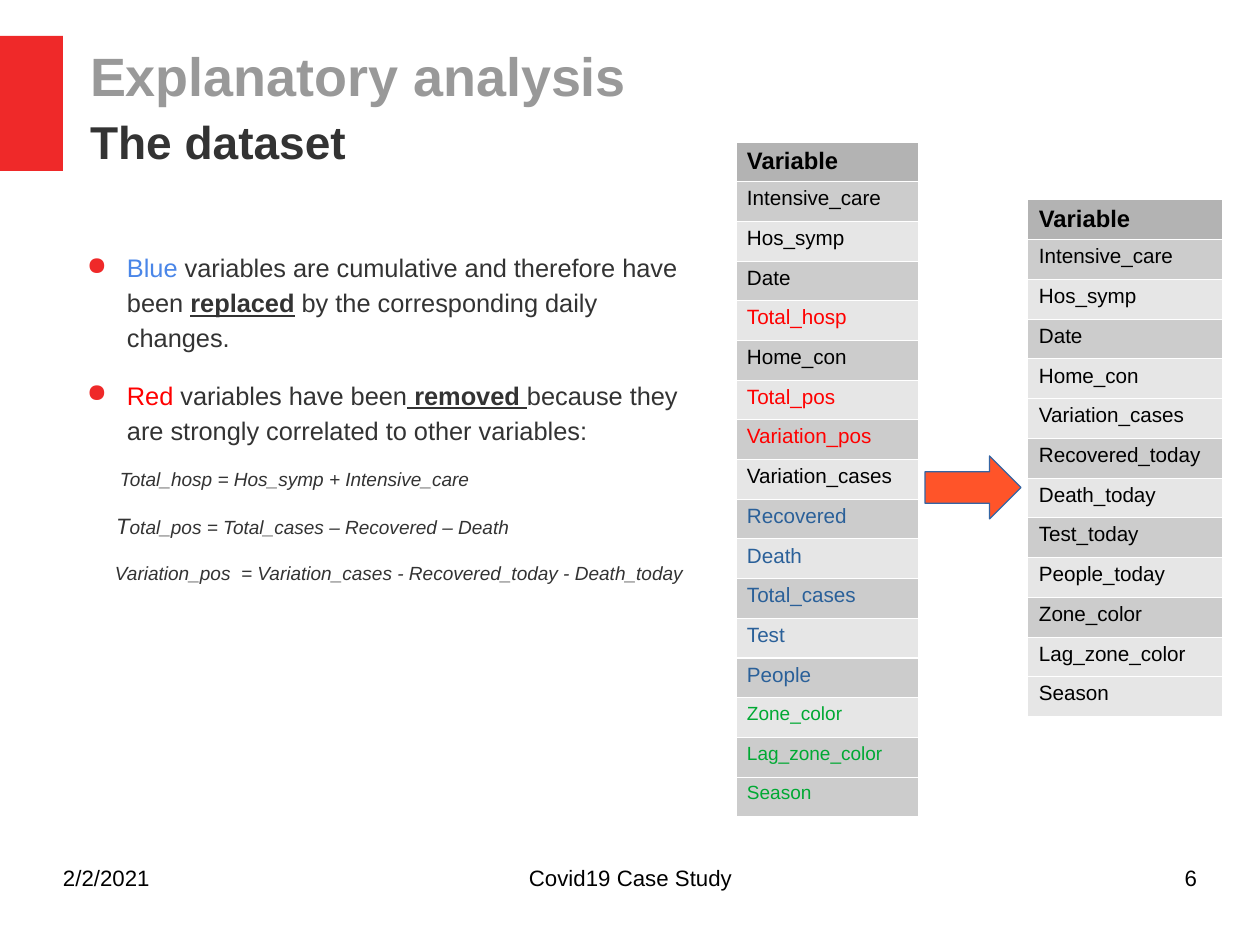
from pptx import Presentation
from pptx.dml.color import RGBColor
from pptx.enum.shapes import MSO_SHAPE
from pptx.enum.text import MSO_ANCHOR, MSO_AUTO_SIZE, PP_ALIGN
from pptx.oxml import parse_xml
from pptx.oxml.ns import nsdecls
from pptx.util import Pt

LEFT, MID, RIGHT = PP_ALIGN.LEFT, PP_ALIGN.CENTER, PP_ALIGN.RIGHT
PX = 8000  # EMU in one px
FONT = "Arial"
BLACK, GREY, RED, BLUE, GREEN = "000000", "333333", "FF0000", "2A6099", "00A933"
SHADES = {"h": "B3B3B3", "d": "CCCCCC", "l": "E6E6E6"}

# A run is (text, size, colour, styles): b bold, i italic, u underlined
TITLE = [("Explanatory analysis", 34, "999999", "b"),
         ("The dataset", 29, GREY, "b")]
POINTS = [
    [("Blue", 16, "4A86E8", ""),
     (" variables are cumulative and therefore have been ", 16, GREY, ""),
     ("replaced", 16, GREY, "bu"),
     (" by the corresponding daily changes.", 16, GREY, "")],
    [("Red", 16, RED, ""),
     (" variables have been", 16, GREY, ""),
     (" removed ", 16, GREY, "bu"),
     ("because they are strongly correlated to other variables:", 16, GREY, "")],
]
# (indent, runs)
SUMS = [
    (47, [("Total_hosp = Hos_symp + Intensive_care", 12, GREY, "i")]),
    (43, [("T", 14, GREY, "i"),
          ("otal_pos = Total_cases – Recovered – Death", 12, GREY, "i")]),
    (42, [("Variation_pos  = Variation_cases - Recovered_today - Death_today",
           12, GREY, "i")]),
]
# (names, size, colour)
BEFORE = [
    (["Intensive_care", "Hos_symp", "Date"], 13, BLACK),
    (["Total_hosp"], 13, RED),
    (["Home_con"], 13, BLACK),
    (["Total_pos", "Variation_pos"], 13, RED),
    (["Variation_cases"], 13, BLACK),
    (["Recovered", "Death", "Total_cases", "Test", "People"], 13, BLUE),
    (["Zone_color", "Lag_zone_color", "Season"], 12, GREEN),
]
AFTER = [
    (["Intensive_care", "Hos_symp", "Date", "Home_con", "Variation_cases",
      "Recovered_today", "Death_today", "Test_today", "People_today",
      "Zone_color", "Lag_zone_color", "Season"], 13, BLACK),
]
# (groups, shade of each row, box)
TABLES = [(BEFORE, "hdldldldldldldldd", (736, 142, 183, 675)),
          (AFTER, "hdldlldldldll", (1028, 200, 195, 517))]
FOOT = [("2/2/2021", LEFT, 63, 294),
        ("Covid19 Case Study", MID, 431, 399),
        ("6", RIGHT, 903, 294)]


def rgb(code):
    return RGBColor.from_string(code)


def emu(box):
    return [n * PX for n in box]


def write(para, runs, space):
    para.line_spacing = space
    for text, size, color, style in runs:
        run = para.add_run()
        run.text = text
        font = run.font
        font.name, font.size = FONT, Pt(size)
        font.color.rgb = rgb(color)
        font.bold, font.italic = "b" in style, "i" in style
        font.underline = "u" in style


def setup(frame):
    """Wrap the text and drop margins and fitting."""
    frame.word_wrap = True
    frame.auto_size = MSO_AUTO_SIZE.NONE
    frame.margin_left = frame.margin_right = 0
    frame.margin_top = frame.margin_bottom = 0
    return frame


def paras(frame, count):
    return [frame.paragraphs[0]] + [frame.add_paragraph() for _ in range(count - 1)]


def add_text(box):
    return setup(slide.shapes.add_textbox(*emu(box)).text_frame)


def bullet(para):
    props = para._p.get_or_add_pPr()
    props.set("marL", str(54 * PX))
    props.set("indent", str(-40 * PX))
    ns = nsdecls("a")
    props.append(parse_xml(f'<a:buClr {ns}><a:srgbClr val="EF2929"/></a:buClr>'))
    props.append(parse_xml(f'<a:buChar {ns} char="●"/>'))


def add_shape(kind, box, fill):
    shape = slide.shapes.add_shape(kind, *emu(box))
    shape.shadow.inherit = False
    shape.fill.solid()
    shape.fill.fore_color.rgb = rgb(fill)
    shape.line.fill.background()
    return shape


def frame_cell(cell):
    """Draw white borders on all four sides."""
    props = cell._tc.get_or_add_tcPr()
    for i, side in enumerate("LRTB"):
        props.insert(i, parse_xml(
            f'<a:ln{side} {nsdecls("a")} w="9525"><a:solidFill>'
            f'<a:srgbClr val="FFFFFF"/></a:solidFill></a:ln{side}>'))


def add_table(groups, shades, box):
    rows = [("Variable", 15, BLACK, "b")]
    rows += [(name, size, color, "") for names, size, color in groups for name in names]
    table = slide.shapes.add_table(len(rows), 1, *emu(box)).table
    table.first_row = table.horz_banding = False
    for i, (row, shade) in enumerate(zip(rows, shades)):
        table.rows[i].height = box[3] * PX // len(rows)
        cell = table.cell(i, 0)
        cell.margin_left = cell.margin_right = 11 * PX
        cell.margin_top, cell.margin_bottom = (7 if i else 8) * PX, 6 * PX
        cell.fill.solid()
        cell.fill.fore_color.rgb = rgb(SHADES[shade])
        frame_cell(cell)
        write(cell.text_frame.paragraphs[0], [row], 0.93)


deck = Presentation()
deck.slide_width, deck.slide_height = emu((1260, 945))
slide = deck.slides.add_slide(deck.slide_layouts[5])

add_shape(MSO_SHAPE.RECTANGLE, (0, 36, 63, 135), "EF2929")

title = slide.shapes.title
title.left, title.top, title.width, title.height = emu((90, 23, 1106, 158))
frame = setup(title.text_frame)
frame.vertical_anchor = MSO_ANCHOR.MIDDLE
for para, run in zip(paras(frame, len(TITLE)), TITLE):
    para.alignment = LEFT
    write(para, [run], 1.12)

lines = paras(add_text((73, 248, 625, 589)), len(POINTS) + len(SUMS))
for para in lines[1:]:
    para.space_before = Pt(14)
for para, runs in zip(lines, POINTS):
    write(para, runs, 1.15)
    bullet(para)
for para, (indent, runs) in zip(lines[len(POINTS):], SUMS):
    write(para, runs, 1)
    para._p.get_or_add_pPr().set("marL", str(indent * PX))

for groups, shades, box in TABLES:
    add_table(groups, shades, box)

arrow = add_shape(MSO_SHAPE.RIGHT_ARROW, (925, 456, 96, 63), "FF5429")
arrow.line.color.rgb = rgb("3465A4")
arrow.line.width = Pt(0.75)

for text, align, left, width in FOOT:
    para = add_text((left, 861, width, 65)).paragraphs[0]
    para.alignment = align
    write(para, [(text, 14, BLACK, "")], 1.13)

deck.save("out.pptx")
